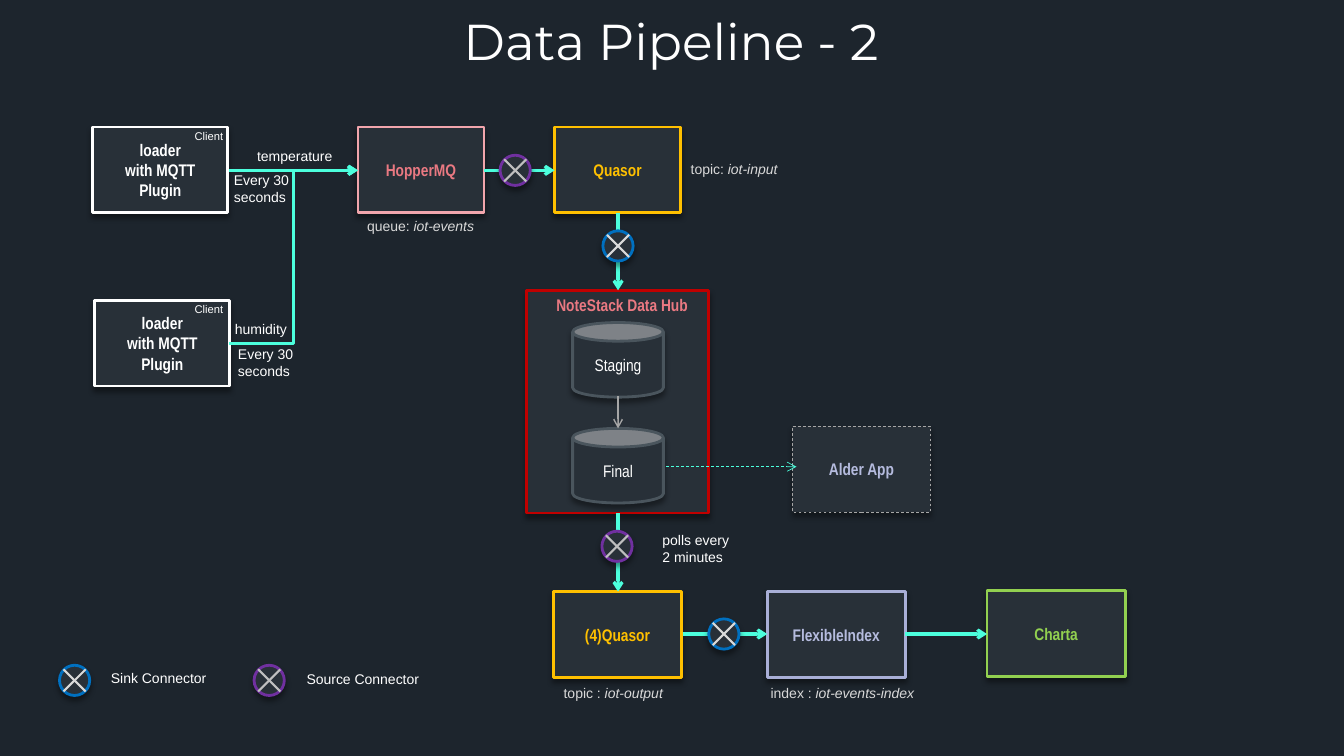
from dataclasses import dataclass

from lxml import etree
from pptx import Presentation
from pptx.dml.color import RGBColor
from pptx.enum.dml import MSO_LINE
from pptx.enum.shapes import MSO_CONNECTOR, MSO_SHAPE
from pptx.enum.text import MSO_ANCHOR, PP_ALIGN
from pptx.oxml import parse_xml
from pptx.oxml.ns import nsdecls, qn
from pptx.util import Inches, Pt

RECT, CAN, OVAL = MSO_SHAPE.RECTANGLE, MSO_SHAPE.CAN, MSO_SHAPE.OVAL
STRAIGHT, ELBOW = MSO_CONNECTOR.STRAIGHT, MSO_CONNECTOR.ELBOW
LEFT, CENTER = PP_ALIGN.LEFT, PP_ALIGN.CENTER
TOP, MIDDLE = MSO_ANCHOR.TOP, MSO_ANCHOR.MIDDLE
DASH = MSO_LINE.DASH


@dataclass(frozen=True)
class Theme:
    background: str = "1D252D"
    panel: str = "283038"
    white: str = "FFFFFF"
    caption: str = "D9D9D9"
    flow: str = "4CFFDD"
    gray: str = "A6A6A6"
    storage: str = "4A555D"
    pink: str = "F1A5AC"
    rose: str = "EA7982"
    amber: str = "FFC000"
    red: str = "C00000"
    violet: str = "A9AFD7"
    lavender: str = "B5BBDE"
    green: str = "92D050"
    sink: tuple = ("0070C0", "D9D9D9")
    source: tuple = ("7030A0", "BFBFBF")
    title_font: str = "Montserrat"
    box_font: str = "Arial Narrow"
    note_font: str = "Arial"
    title_size: int = 36
    box_size: int = 12
    note_size: int = 10
    tag_size: int = 8


class Diagram:
    def __init__(self, slide, theme):
        self.slide, self.theme = slide, theme
        slide.background.fill.solid()
        slide.background.fill.fore_color.rgb = RGBColor.from_string(theme.background)

    def frame(self, shape, inset, anchor):
        frame = shape.text_frame
        left, rest = inset
        values = {"word_wrap": True, "vertical_anchor": anchor, "margin_left": Inches(left),
                  "margin_right": Inches(rest), "margin_top": Inches(rest),
                  "margin_bottom": Inches(rest)}
        for name, value in values.items():
            setattr(frame, name, value)
        return frame

    def add_span(self, para, text, font, size, color, align=CENTER, **style):
        para.alignment = align
        span = para.add_run()
        span.text = text
        values = {"name": font, "size": Pt(size), **style}
        for name, value in values.items():
            setattr(span.font, name, value)
        span.font.color.rgb = RGBColor.from_string(color)

    def outline(self, item, color, width, dash=None):
        item.line.color.rgb = RGBColor.from_string(color)
        item.line.width = Pt(width)
        if dash:
            item.line.dash_style = dash

    def title(self, text):
        title = self.slide.shapes.title
        places = {"left": 0.59, "top": 0.14, "width": 12.13, "height": 1.03}
        for name, value in places.items():
            setattr(title, name, Inches(value))
        para = self.frame(title, (0, 0), TOP).paragraphs[0]
        para.line_spacing = Pt(40)
        self.add_span(para, text, self.theme.title_font, self.theme.title_size, self.theme.white)

    def box(self, place, lines, line, color, kind=RECT, bold=True, width=2, dash=None, parent=None):
        shapes = (parent or self.slide).shapes
        box = shapes.add_shape(kind, *map(Inches, place))
        box.fill.solid()
        box.fill.fore_color.rgb = RGBColor.from_string(self.theme.panel)
        self.outline(box, line, width, dash)
        box._element.spPr.append(parse_xml(
            f'<a:effectLst {nsdecls("a")}><a:outerShdw blurRad="50800" dist="38100" dir="5400000" '
            'algn="t" rotWithShape="0"><a:srgbClr val="000000"><a:alpha val="40000"/></a:srgbClr>'
            '</a:outerShdw></a:effectLst>'))
        frame = self.frame(box, (0.2, 0.2), MIDDLE)
        for index, text in enumerate(lines):
            para = frame.add_paragraph() if index else frame.paragraphs[0]
            self.add_span(para, text, self.theme.box_font, self.theme.box_size, color, bold=bold)

    def note(self, place, text, value="", color=None, size=None, font=None, align=LEFT, bold=False):
        theme = self.theme
        box = self.slide.shapes.add_textbox(*map(Inches, place))
        para = self.frame(box, (0.09, 0), TOP).paragraphs[0]
        style = (font or theme.note_font, size or theme.note_size, color or theme.white, align)
        self.add_span(para, text, *style, bold=bold)
        if value:
            self.add_span(para, value, *style, italic=True)

    def link(self, start, end, color, width=2.25, kind=STRAIGHT, dash=None, arrow=True, parent=None):
        shapes = (parent or self.slide).shapes
        link = shapes.add_connector(kind, *map(Inches, (*start, *end)))
        self.outline(link, color, width, dash)
        if arrow:
            etree.SubElement(link._element.spPr.find(qn("a:ln")), qn("a:tailEnd"), type="arrow")
        etree.SubElement(link._element.spPr, qn("a:effectLst"))

    def marker(self, left, top, colors):
        ring, cross = colors
        group = self.slide.shapes.add_group_shape()
        self.box((left, top, 0.3, 0.3), [], ring, cross, kind=OVAL, parent=group)
        near, far = 0.04, 0.26
        for first, last in ((near, far), (far, near)):
            self.link((left + first, top + near), (left + last, top + far), cross, 1.5,
                      arrow=False, parent=group)


theme = Theme()
deck = Presentation()
deck.slide_width, deck.slide_height = Inches(13.33), Inches(7.5)
diagram = Diagram(deck.slides.add_slide(deck.slide_layouts[5]), theme)
diagram.title("Data Pipeline - 2")

# Clients with their measurements
for left, top in ((0.92, 1.26), (0.94, 2.98)):
    diagram.box((left, top, 1.34, 0.85), ["loader", "with MQTT Plugin"], theme.white, theme.white)
    diagram.note((1.84, top + 0.02, 0.46, 0.17), "Client", size=theme.tag_size)
for place, text in (((2.46, 1.46, 0.93, 0.24), "temperature"),
                    ((2.24, 3.18, 0.74, 0.24), "humidity"),
                    ((2.23, 1.7, 0.72, 0.32), "Every 30 seconds"),
                    ((2.27, 3.43, 0.72, 0.32), "Every 30 seconds")):
    diagram.note(place, text)

# Pipeline stages
for left, top, width, name, line, color in (
        (3.55, 1.26, 1.25, "HopperMQ", theme.pink, theme.rose),
        (5.5, 1.26, 1.25, "Quasor", theme.amber, theme.amber),
        (5.49, 5.87, 1.27, "(4)Quasor", theme.amber, theme.amber),
        (7.61, 5.87, 1.37, "FlexibleIndex", theme.violet, theme.lavender),
        (9.79, 5.86, 1.37, "Charta", theme.green, theme.green)):
    diagram.box((left, top, width, 0.85), [name], line, color)
diagram.box((7.86, 4.23, 1.37, 0.85), ["Alder App"], theme.gray, theme.lavender,
            width=0.5, dash=DASH)

# Data hub with its two stores
diagram.box((5.22, 2.88, 1.81, 2.21), [], theme.red, theme.rose)
diagram.note((5.22, 2.92, 1.81, 0.18), "NoteStack Data Hub", color=theme.rose,
             size=theme.box_size, font=theme.box_font, align=CENTER, bold=True)
for top, name in ((3.2, "Staging"), (4.25, "Final")):
    diagram.box((5.68, top, 0.9, 0.74), [name], theme.storage, theme.white, kind=CAN, bold=False)

# Flow arrows
for start, end in (((2.27, 1.69), (3.55, 1.69)), ((4.8, 1.69), (5.5, 1.69)),
                   ((6.13, 2.11), (6.13, 2.88)), ((6.13, 5.09), (6.13, 5.87)),
                   ((6.77, 6.29), (7.61, 6.29)), ((8.98, 6.29), (9.79, 6.29))):
    diagram.link(start, end, theme.flow)
diagram.link((2.27, 3.41), (3.55, 1.69), theme.flow, kind=ELBOW)
diagram.link((6.13, 3.93), (6.13, 4.25), theme.gray, 1)
diagram.link((6.61, 4.63), (7.9, 4.63), theme.flow, 0.5, dash=DASH)

# Connector markers, the last two in the legend
for left, top, colors in ((4.96, 1.54, theme.source), (5.98, 2.29, theme.sink),
                          (5.97, 5.27, theme.source), (7.03, 6.14, theme.sink),
                          (0.59, 6.6, theme.sink), (2.52, 6.6, theme.source)):
    diagram.marker(left, top, colors)
diagram.note((1.01, 6.64, 1.51, 0.21), "Sink Connector")
diagram.note((2.95, 6.65, 1.51, 0.21), "Source Connector")

# Queue, topic and index captions
for place, label, value, align in (
        ((3.55, 2.16, 1.22, 0.23), "queue: ", "iot-events", LEFT),
        ((6.76, 1.59, 1.22, 0.23), "topic: ", "iot-input", LEFT),
        ((5.5, 6.79, 1.22, 0.23), "topic : ", "iot-output", LEFT),
        ((7.46, 6.79, 1.7, 0.24), "index : ", "iot-events-index", CENTER)):
    diagram.note(place, label, value, color=theme.caption, align=align)
diagram.note((6.48, 5.27, 0.79, 0.34), "polls every 2 minutes")

deck.save("out.pptx")
